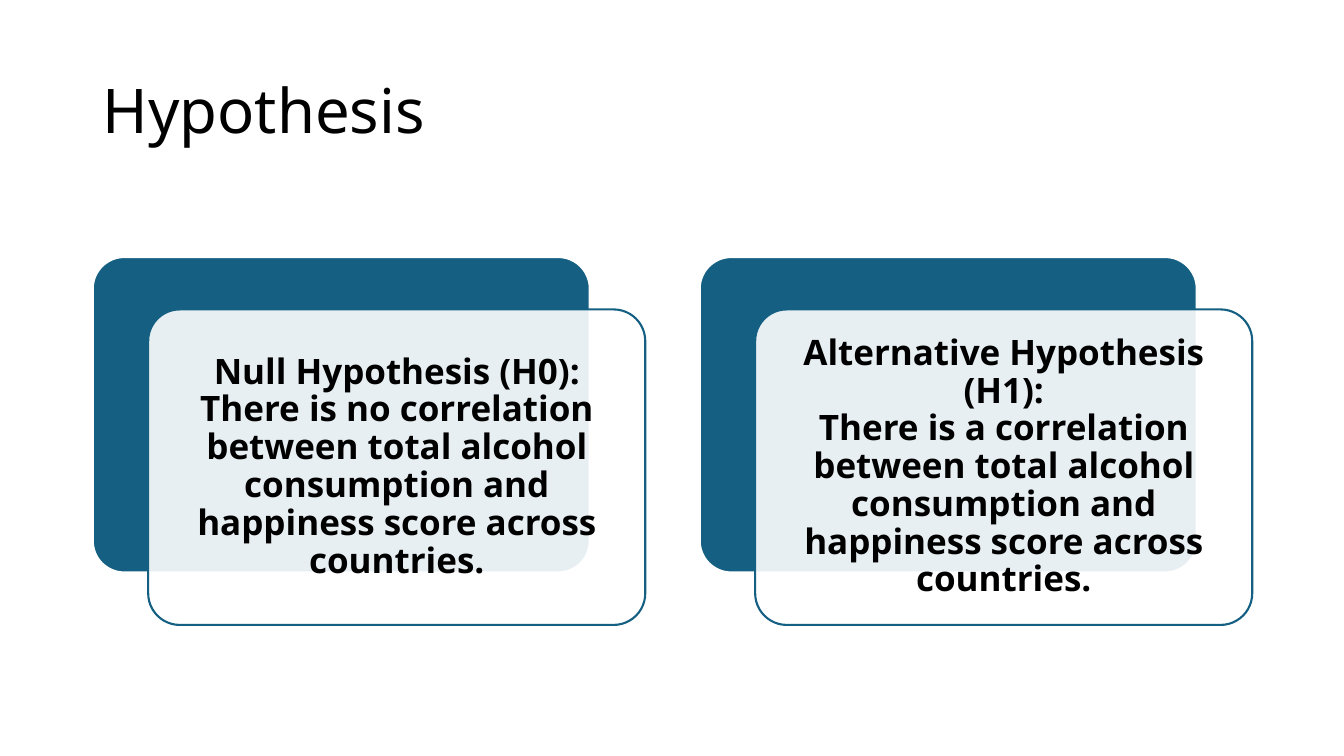
import dataclasses

import pptx
import pptx.dml.color
import pptx.enum.shapes
import pptx.enum.text
import pptx.oxml.ns
import pptx.util
from lxml import etree

Inches = pptx.util.Inches
Pt = pptx.util.Pt


@dataclasses.dataclass(frozen=True)
class Theme:
    """Hold the colours, font and type sizes of the slide."""
    accent: str = "156082"
    paper: str = "FFFFFF"
    ink: str = "000000"
    font: str = "Noto Sans"
    title_size: int = 44
    card_size: int = 25
    line_width: float = 1.5


THEME = Theme()
HYPOTHESES = [
    ("Null Hypothesis (H0):",
     "There is no correlation between total alcohol consumption and happiness score across countries."),
    ("Alternative Hypothesis (H1):",
     "There is a correlation between total alcohol consumption and happiness score across countries."),
]


def rgb(value):
    """Return the colour for a hex string."""
    return pptx.dml.color.RGBColor.from_string(value)


def add_text(s, box, lines, size, bold=False, align=pptx.enum.text.PP_ALIGN.LEFT, inset_y=0.05):
    """Add one paragraph of lines, centred vertically in the box."""
    tf = s.shapes.add_textbox(*map(Inches, box)).text_frame
    tf.word_wrap = True
    tf.vertical_anchor = pptx.enum.text.MSO_ANCHOR.MIDDLE
    tf.margin_left = tf.margin_right = Inches(0.1)
    tf.margin_top = tf.margin_bottom = Inches(inset_y)
    p = tf.paragraphs[0]
    p.alignment = align
    p.line_spacing = 0.9
    p.font.size = Pt(size)
    for i, line in enumerate(lines):
        if i:
            p.add_line_break()
        r = p.add_run()
        r.text = line
        r.font.name = THEME.font
        r.font.size = Pt(size)
        r.font.bold = bold
        r.font.color.rgb = rgb(THEME.ink)


def add_panel(s, box, fill, line, opacity=100):
    """Add a rounded panel with the given fill, outline and opacity."""
    sp = s.shapes.add_shape(pptx.enum.shapes.MSO_SHAPE.ROUNDED_RECTANGLE, *map(Inches, box))
    sp.adjustments[0] = 0.1
    sp.shadow.inherit = False
    sp.fill.solid()
    sp.fill.fore_color.rgb = rgb(fill)
    sp.line.color.rgb = rgb(line)
    sp.line.width = Pt(THEME.line_width)
    if opacity < 100:
        qn = pptx.oxml.ns.qn
        color = sp.fill._xPr.find(qn("a:solidFill")).find(qn("a:srgbClr"))
        etree.SubElement(color, qn("a:alpha")).set("val", str(opacity * 1000))


def add_card(s, box, lines):
    """Add a hypothesis card: a back panel, an offset front panel and its text."""
    x, y, w, h = box
    front_x, front_y, pad = x + 0.55, y + 0.52, 0.09
    add_panel(s, box, THEME.accent, THEME.paper)
    add_panel(s, (front_x, front_y, w, h), THEME.paper, THEME.accent, opacity=90)
    add_text(s, (front_x + pad, front_y + pad, w - 2 * pad, h - 2 * pad), lines, THEME.card_size,
             bold=True, align=pptx.enum.text.PP_ALIGN.CENTER, inset_y=0.1)


def add_hypothesis_slide(prs, box):
    """Add the slide with its title and a row of hypothesis cards in the box."""
    s = prs.slides.add_slide(prs.slide_layouts[6])
    x, y, w, h = box
    add_text(s, (x, y, w, 1.45), ["Hypothesis"], THEME.title_size)
    for i, lines in enumerate(HYPOTHESES):
        add_card(s, (x + i * 6.02, y + 2.15, 4.93, h - 2.67), lines)


def main():
    """Build and save the presentation."""
    prs = pptx.Presentation()
    prs.slide_width, prs.slide_height = Inches(13.33), Inches(7.5)
    add_hypothesis_slide(prs, (0.92, 0.4, 11.5, 5.8))
    prs.save("out.pptx")


if __name__ == "__main__":
    main()
